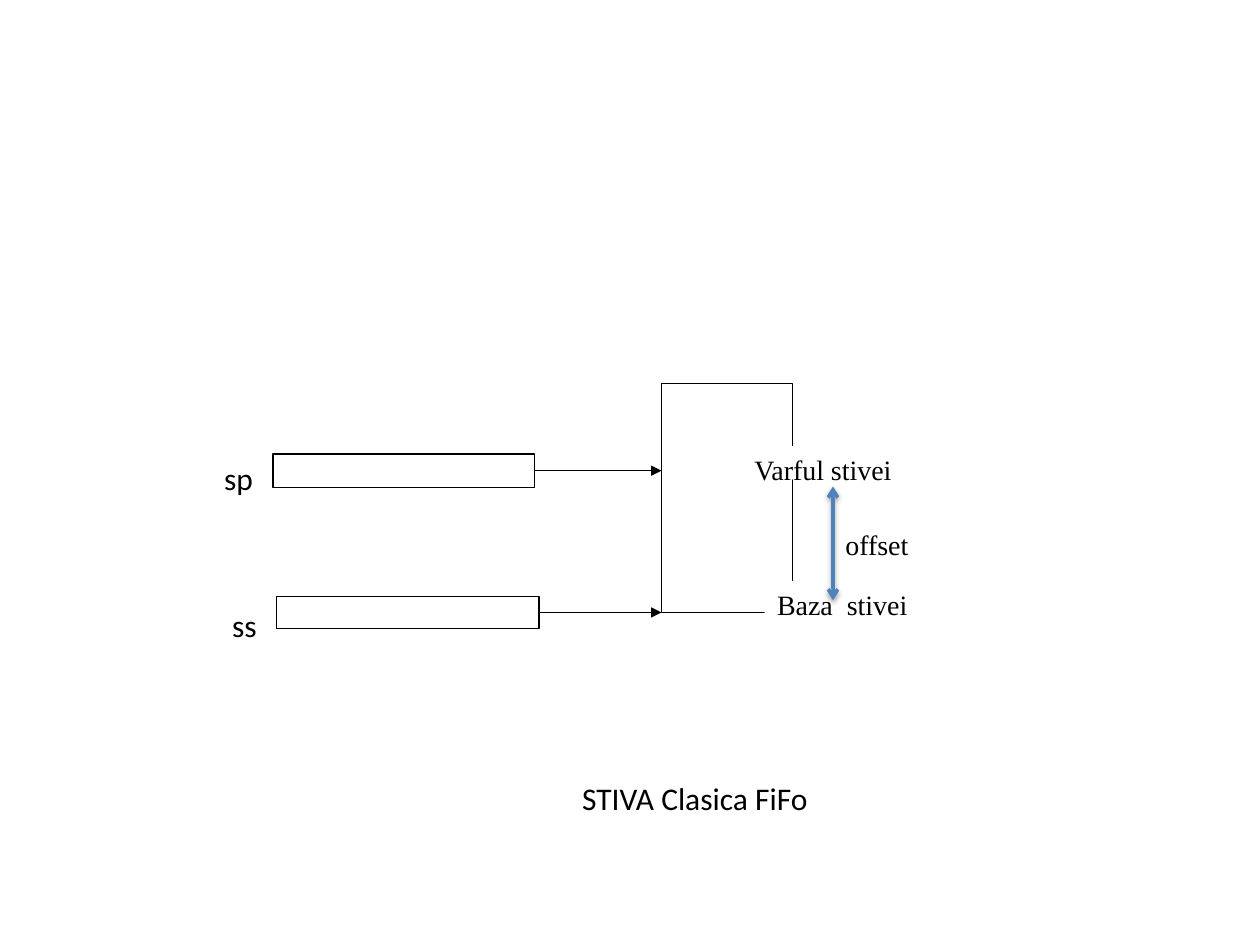
from lxml import etree
from pptx import Presentation
from pptx.dml.color import RGBColor
from pptx.enum import shapes, text
from pptx.oxml import ns
from pptx.util import Pt

BLACK = RGBColor(0x00, 0x00, 0x00)
WHITE = RGBColor(0xFF, 0xFF, 0xFF)
BLUE = RGBColor(0x4F, 0x81, 0xBD)


def add_rectangle(left, top, width, height):
    rectangle = slide.shapes.add_shape(
        shapes.MSO_SHAPE.RECTANGLE, Pt(left), Pt(top), Pt(width), Pt(height))
    rectangle.shadow.inherit = False
    rectangle.fill.solid()
    rectangle.fill.fore_color.rgb = WHITE
    rectangle.line.color.rgb = BLACK
    rectangle.line.width = Pt(0.75)
    return rectangle


def add_arrow(start, end, color, width, **ends):
    """Draw a line with the given headEnd/tailEnd types; return it and its effect list."""
    arrow = slide.shapes.add_connector(
        shapes.MSO_CONNECTOR.STRAIGHT, *map(Pt, start + end))
    arrow.line.color.rgb = color
    arrow.line.width = Pt(width)
    for tag, kind in ends.items():
        etree.SubElement(arrow.line._get_or_add_ln(), ns.qn(f"a:{tag}"), type=kind)
    properties = arrow._element.spPr
    return arrow, etree.SubElement(properties, ns.qn("a:effectLst"))


presentation = Presentation()
presentation.slide_width = Pt(720)
presentation.slide_height = Pt(540)
slide = presentation.slides.add_slide(presentation.slide_layouts[6])

# Registers and the stack they point into
stack_left = 378
add_rectangle(stack_left, 219, 75, 131)
for left, top, width, height in [(156, 259.5, 149.5, 19), (158, 341, 150, 18)]:
    register = add_rectangle(left, top, width, height)
    middle = top + height / 2
    pointer, _ = add_arrow((left + width, middle), (stack_left, middle),
                           BLACK, 0.75, tailEnd="triangle")
    pointer.begin_connect(register, 3)

# Labels on the stack
for wording, left, top, width, height in [
    ("offset", 476, 298, 72, 20),
    ("Baza  stivei", 437, 332, 137, 21),
    ("Varful stivei", 424, 255, 102, 19),
]:
    label = add_rectangle(left, top, width, height)
    label.line.fill.background()
    frame = label.text_frame
    frame.word_wrap = True
    frame.vertical_anchor = text.MSO_ANCHOR.TOP
    paragraph = frame.paragraphs[0]
    paragraph.alignment = text.PP_ALIGN.LEFT
    run = paragraph.add_run()
    run.text = wording
    run.font.name = "Times New Roman"
    run.font.size = Pt(16)
    run.font.color.rgb = BLACK

# Offset between top and base
_, effects = add_arrow((476, 278), (476, 343), BLUE, 2,
                       headEnd="arrow", tailEnd="arrow")
shadow = etree.SubElement(
    effects, ns.qn("a:outerShdw"), blurRad=str(Pt(3.1)), dist=str(Pt(1.6)),
    dir="5400000", rotWithShape="0")
shadow_color = etree.SubElement(shadow, ns.qn("a:srgbClr"), val=str(BLACK))
etree.SubElement(shadow_color, ns.qn("a:alpha"), val="38000")

# Register names and title
for wording, left, top, width in [
    ("ss", 125.5, 343, 29),
    ("sp", 121, 259, 31),
    ("STIVA Clasica FiFo", 325.5, 441.5, 146),
]:
    box = slide.shapes.add_textbox(Pt(left), Pt(top), Pt(width), Pt(29))
    frame = box.text_frame
    frame.word_wrap = False
    frame.auto_size = text.MSO_AUTO_SIZE.SHAPE_TO_FIT_TEXT
    run = frame.paragraphs[0].add_run()
    run.text = wording
    run.font.name = "Calibri"
    run.font.size = Pt(18)
    run.font.color.rgb = BLACK

presentation.save("out.pptx")
